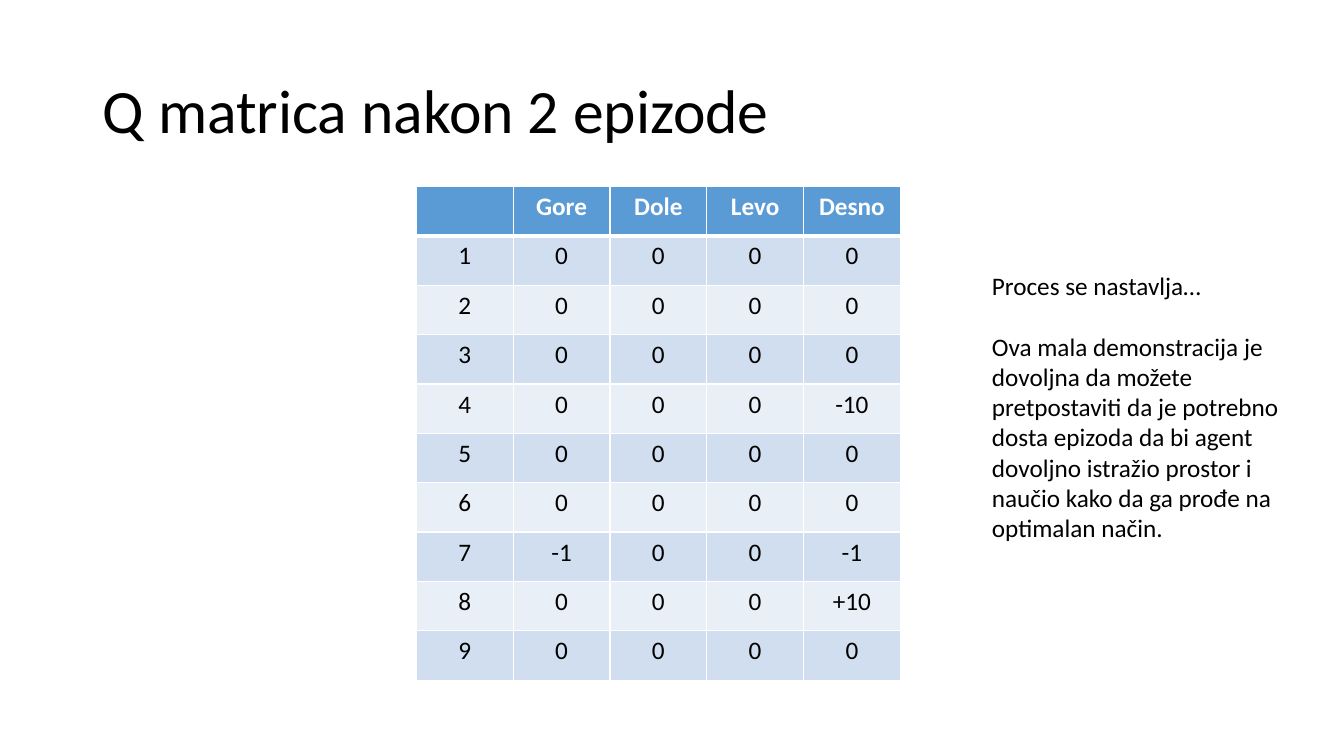
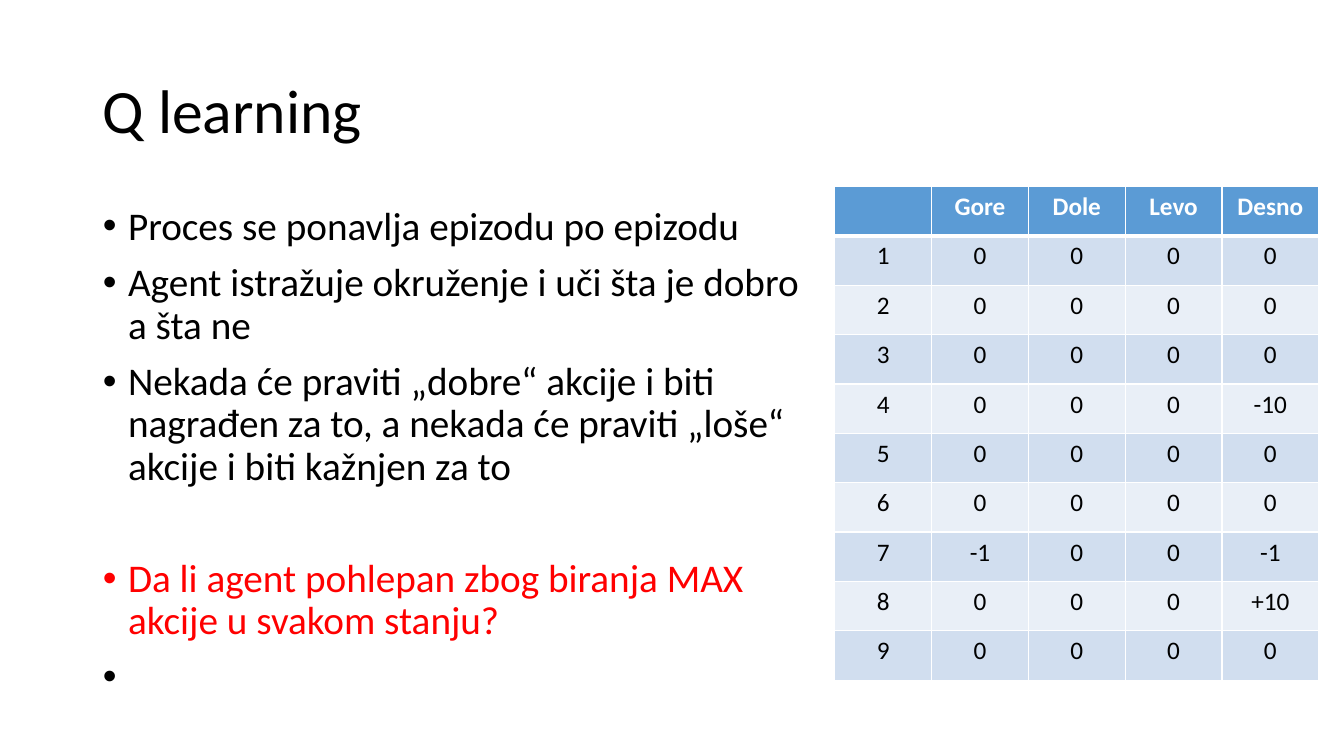
from lxml.etree import SubElement
from pptx import Presentation
from pptx.dml.color import RGBColor
from pptx.enum.text import MSO_ANCHOR, MSO_AUTO_SIZE, PP_ALIGN
from pptx.oxml.ns import qn
from pptx.util import Inches, Pt

FONT = "Calibri"
BLACK = RGBColor(0x00, 0x00, 0x00)
WHITE = RGBColor(0xFF, 0xFF, 0xFF)
RED = RGBColor(0xFF, 0x00, 0x00)
BLUE = RGBColor(0x5B, 0x9B, 0xD5)
DARK = RGBColor(0xD1, 0xDE, 0xEF)
LIGHT = RGBColor(0xE9, 0xEF, 0xF7)

HEADS = ["", "Gore", "Dole", "Levo", "Desno"]
SCORES = {(4, "Desno"): "-10", (7, "Gore"): "-1", (7, "Desno"): "-1", (8, "Desno"): "+10"}
ROWS = [HEADS] + [
    [str(state)] + [SCORES.get((state, move), "0") for move in HEADS[1:]]
    for state in range(1, 10)
]


def write(frame, text, size=18, color=BLACK, bold=False, align=PP_ALIGN.LEFT,
          before=0, line=1.0, hang=0, first=False):
    para = frame.paragraphs[0] if first else frame.add_paragraph()
    para.alignment = align
    para.space_before = Pt(before)
    para.line_spacing = line
    if hang:
        props = para._p.get_or_add_pPr()
        props.set("marL", str(Inches(hang)))
        props.set("indent", str(-Inches(hang)))
    run = para.add_run()
    run.text = text
    font = run.font
    font.name, font.size, font.bold = FONT, Pt(size), bold
    font.color.rgb = color


class Deck:
    """Holds the shared style and the current slide."""

    def __init__(self):
        self.deck = Presentation()
        self.deck.slide_width = Inches(13.33)
        self.deck.slide_height = Inches(7.5)
        self.slide = None

    def place(self, shape, left, top, width, height):
        shape.left, shape.top = Inches(left), Inches(top)
        shape.width, shape.height = Inches(width), Inches(height)
        frame = shape.text_frame
        frame.word_wrap = True
        frame.auto_size = MSO_AUTO_SIZE.NONE
        return frame

    def start(self, title, layout):
        self.slide = self.deck.slides.add_slide(self.deck.slide_layouts[layout])
        frame = self.place(self.slide.shapes.title, 0.92, 0.4, 11.5, 1.45)
        frame.vertical_anchor = MSO_ANCHOR.MIDDLE
        write(frame, title, size=44, line=0.9, first=True)

    def list(self, items):
        frame = self.place(self.slide.placeholders[1], 0.92, 2, 7.3, 4.76)
        for i, (text, color, before) in enumerate(items):
            write(frame, text, size=28, color=color, before=before,
                  line=0.9, hang=0.25, first=i == 0)

    def note(self, texts, gap):
        box = self.slide.shapes.add_textbox(0, 0, 0, 0)
        frame = self.place(box, 9.74, 2.63, 3.16, 2.8)
        for i, text in enumerate(texts):
            write(frame, text, before=gap if i else 0, first=i == 0)

    def edge(self, cell, side, width):
        line = SubElement(cell._tc.get_or_add_tcPr(), qn(f"a:{side}"), w=str(Pt(width)))
        fill = SubElement(line, qn("a:solidFill"))
        SubElement(fill, qn("a:srgbClr"), val=str(WHITE))

    def table(self, left, top=1.85, wide=0.96, high=0.49):
        count, span = len(ROWS), len(HEADS)
        grid = self.slide.shapes.add_table(
            count, span, Inches(left), Inches(top),
            Inches(wide * span), Inches(high * count)).table
        for col in grid.columns:
            col.width = Inches(wide)
        for r, texts in enumerate(ROWS):
            grid.rows[r].height = Inches(high)
            head = r == 0
            for c, text in enumerate(texts):
                cell = grid.cell(r, c)
                for side in ("lnL", "lnR", "lnT", "lnB"):
                    thick = (r, side) in ((0, "lnB"), (1, "lnT"))
                    self.edge(cell, side, 3 if thick else 0.96)
                cell.fill.solid()
                cell.fill.fore_color.rgb = BLUE if head else (LIGHT, DARK)[r % 2]
                write(cell.text_frame, text, color=WHITE if head else BLACK,
                      bold=head, align=PP_ALIGN.CENTER, first=True)


def main():
    show = Deck()
    show.start("Q matrica nakon 2 epizode", 5)
    show.table(4.13)
    show.note([
        "Proces se nastavlja…",
        "Ova mala demonstracija je dovoljna da možete pretpostaviti da je potrebno "
        "dosta epizoda da bi agent dovoljno istražio prostor i naučio kako da ga "
        "prođe na optimalan način.",
    ], gap=22)

    show.start("Q learning", 1)
    show.list([
        ("Proces se ponavlja epizodu po epizodu", BLACK, 10),
        ("Agent istražuje okruženje i uči šta je dobro a šta ne", BLACK, 10),
        ("Nekada će praviti „dobre“ akcije i biti nagrađen za to, a nekada će "
         "praviti „loše“ akcije i biti kažnjen za to", BLACK, 10),
        ("Da li agent pohlepan zbog biranja MAX akcije u svakom stanju?", RED, 50),
        (" ", BLACK, 10),
    ])
    show.table(8.28)
    show.deck.save("out.pptx")


if __name__ == "__main__":
    main()
